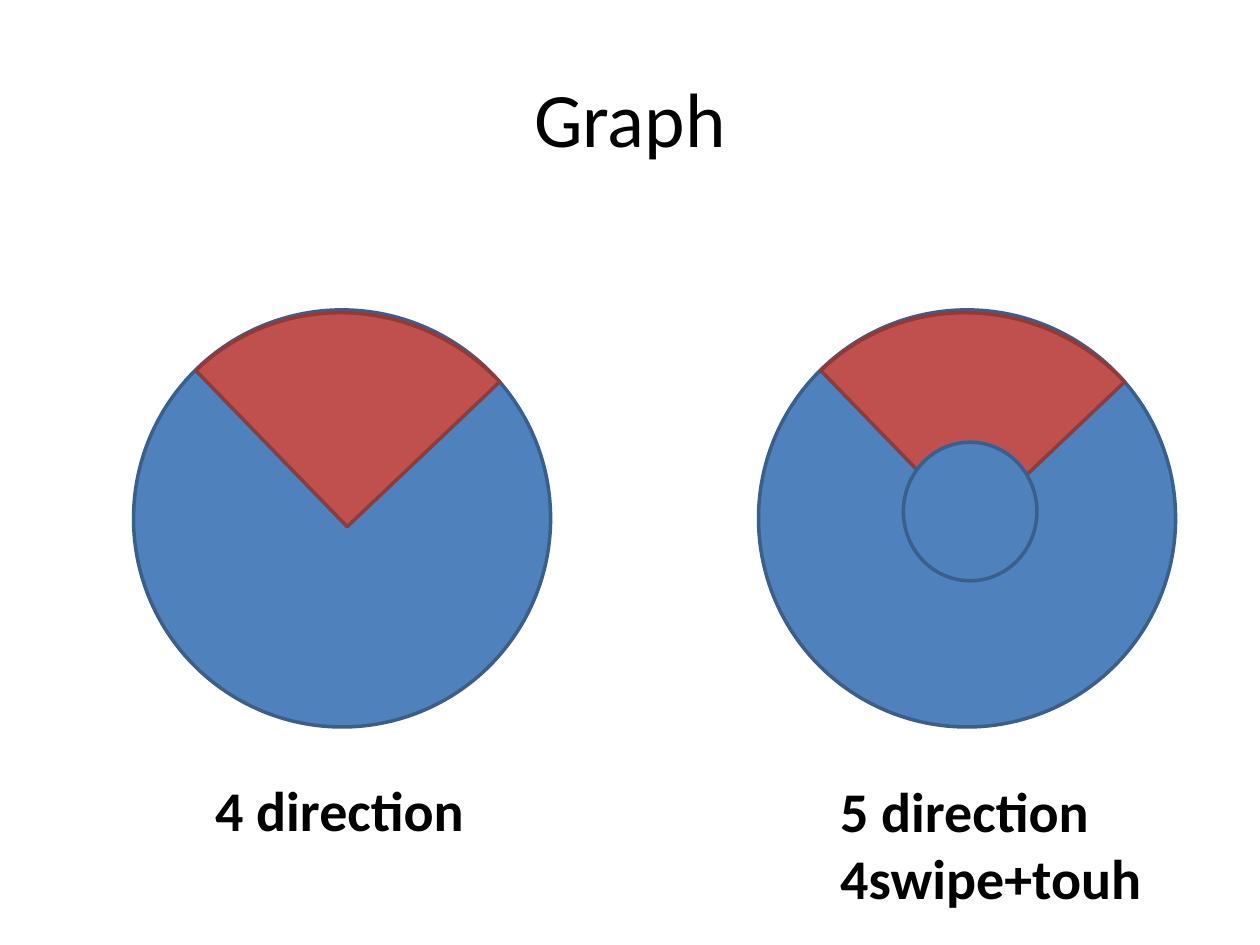
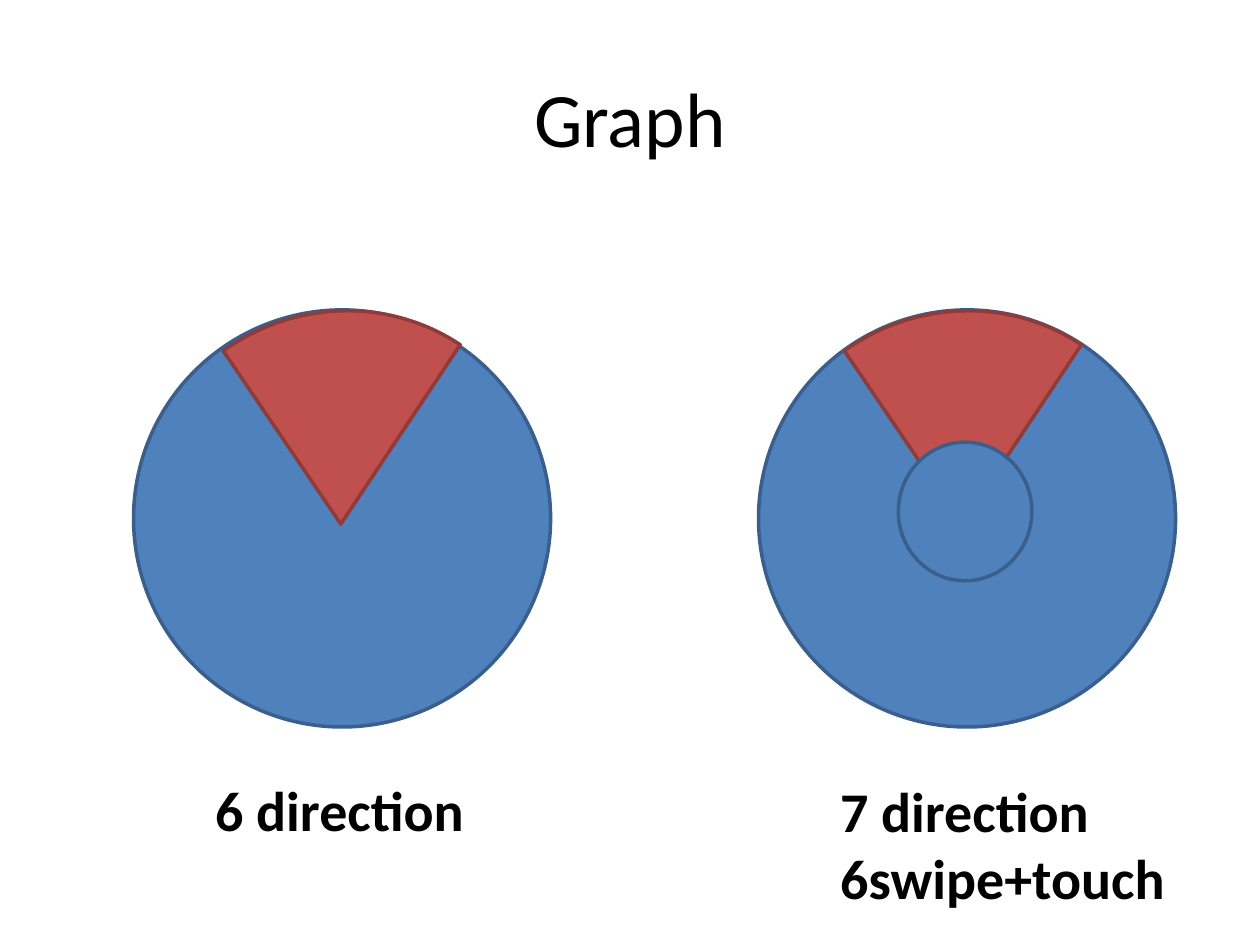
from pptx import Presentation
from pptx.dml.color import RGBColor
from pptx.enum.shapes import MSO_SHAPE as Shape
from pptx.enum.text import MSO_ANCHOR as Anchor, MSO_AUTO_SIZE as Fit, PP_ALIGN as Align
from pptx.util import Inches, Pt

BLUE = ("4F81BD", "3A5F8C")
RED = ("C0504D", "8E3B39")
BLACK = "000000"
TITLE = {"name": "Calibri", "size": Pt(44)}
LABEL = {"name": "Calibri", "size": Pt(32), "bold": True}
DISC, DISC_TOP = 3.31, 2.46
LEFT, STEP = 1.06, 4.96  # first disc, and distance to the second

SLIDES = [
    {"wedge": {"lefts": (1.03, 5.99), "top": 2.51, "size": (3.45, 3.34),
               "turn": 225.9, "angles": (0, 90.59)},
     "hub": 7.17,
     "labels": [(["4 direction"], 2.2, 0.64),
                (["5 direction", "4swipe+touh"], 2.83, 1.18)]},
    {"wedge": {"lefts": (1.05, 5.98), "top": 2.45, "size": (3.31, 3.42),
               "turn": 33.4, "angles": (202.44, 270.25)},
     "hub": 7.13,
     "labels": [(["6 direction"], 2.2, 0.64),
                (["7 direction", "6swipe+touch"], 3.23, 1.18)]},
]


def color(code):
    return RGBColor.from_string(code)


def add_form(slide, kind, box, paint):
    """Add a preset shape; paint is a pair of fill and line colours."""
    form = slide.shapes.add_shape(kind, *map(Inches, box))
    form.shadow.inherit = False
    fill, line = paint
    form.fill.solid()
    form.fill.fore_color.rgb = color(fill)
    form.line.color.rgb = color(line)
    form.line.width = Pt(2)
    return form


def add_wedge(slide, left, top, size, turn, angles):
    wedge = add_form(slide, Shape.PIE, (left, top, *size), RED)
    wedge.rotation = turn
    for i, angle in enumerate(angles):
        wedge.adjustments[i] = angle * 0.6  # 60000 units a degree, scaled by 100000


def add_text(slide, lines, box, style, align=Align.LEFT, **layout):
    frame = slide.shapes.add_textbox(*map(Inches, box)).text_frame
    for name, value in {"word_wrap": True, **layout}.items():
        setattr(frame, name, value)
    frame.text = "\n".join(lines)
    for para in frame.paragraphs:
        para.alignment = align
        font = para.runs[0].font
        font.color.rgb = color(BLACK)
        for name, value in style.items():
            setattr(font, name, value)


def add_graph(slide, wedge, hub, labels):
    add_text(slide, ["Graph"], (0.5, 0.3, 9, 1.25), TITLE, Align.CENTER,
             vertical_anchor=Anchor.MIDDLE)
    for i, (lines, width, height) in enumerate(labels):
        shift = i * STEP
        add_form(slide, Shape.OVAL, (LEFT + shift, DISC_TOP, DISC, DISC), BLUE)
        add_wedge(slide, wedge["lefts"][i], wedge["top"], wedge["size"],
                  wedge["turn"], wedge["angles"])
        add_text(slide, lines, (1.61 + shift, 6.11, width, height), LABEL,
                 auto_size=Fit.SHAPE_TO_FIT_TEXT)
    add_form(slide, Shape.OVAL, (hub, 3.51, 1.06, 1.1), BLUE)


def main():
    deck = Presentation()
    deck.slide_width, deck.slide_height = Inches(10), Inches(7.5)
    for graph in SLIDES:
        add_graph(deck.slides.add_slide(deck.slide_layouts[6]), **graph)
    deck.save("out.pptx")


if __name__ == "__main__":
    main()
